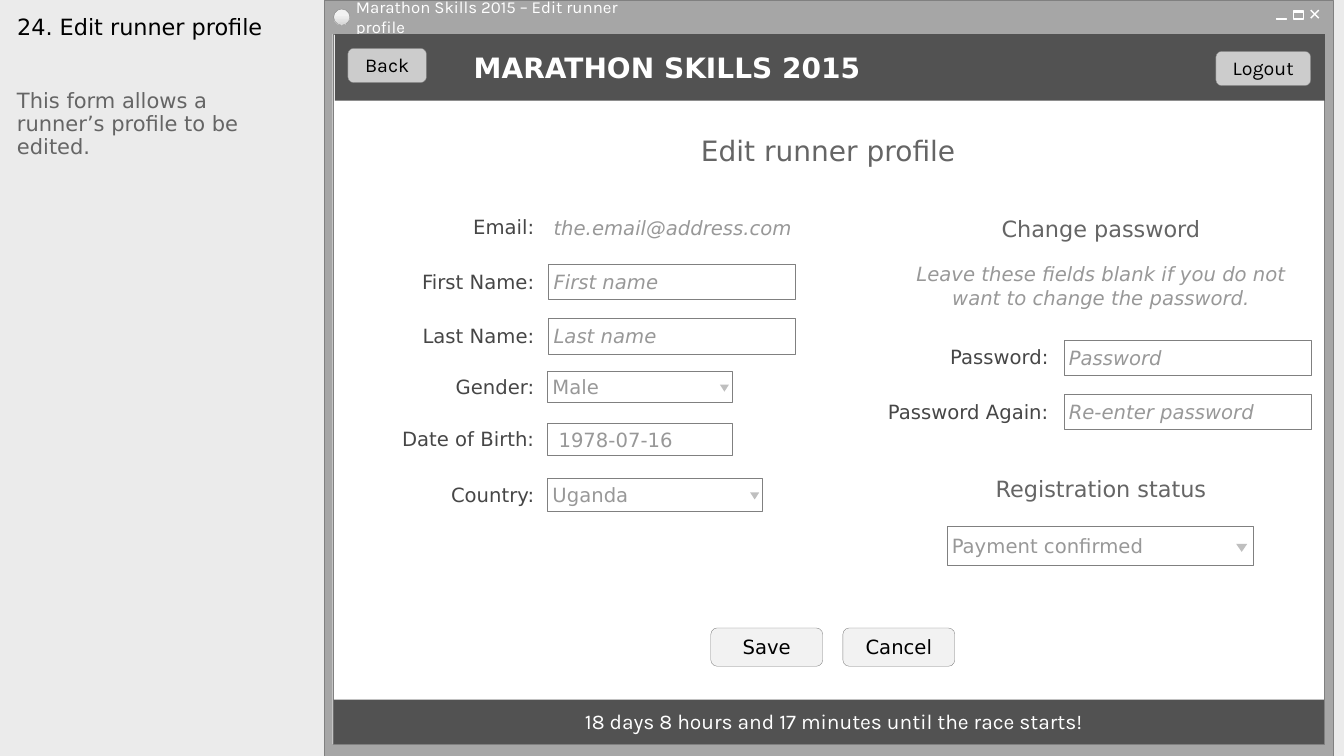
from copy import deepcopy
from pptx import Presentation
from pptx.dml.color import RGBColor
from pptx.enum.shapes import MSO_CONNECTOR, MSO_SHAPE
from pptx.enum.text import MSO_ANCHOR, MSO_AUTO_SIZE, PP_ALIGN
from pptx.oxml.ns import qn
from pptx.util import Inches, Pt

RECT, ROUND = MSO_SHAPE.RECTANGLE, MSO_SHAPE.ROUNDED_RECTANGLE
OVAL, TRIANGLE = MSO_SHAPE.OVAL, MSO_SHAPE.ISOSCELES_TRIANGLE
LINE = MSO_CONNECTOR.STRAIGHT
LEFT, MID, RIGHT = PP_ALIGN.LEFT, PP_ALIGN.CENTER, PP_ALIGN.RIGHT
TOP, CENTER = MSO_ANCHOR.TOP, MSO_ANCHOR.MIDDLE
FIXED = MSO_AUTO_SIZE.NONE
SANS, KARLA = "DejaVu Sans", "Karla"
COLORS = {
    "page": "EBEBEB", "frame": "A6A6A6", "edge": "808080", "bar": "525252",
    "white": "FFFFFF", "black": "000000", "key": "CCCCCC", "pale": "F2F2F2",
    "shade": "D9D9D9", "dash": "919191", "arrow": "BFBFBF",
    "head": "656565", "label": "464646", "hint": "989898",
}
PAD = (0.1, 0.02, 0.1, 0.03)
KEY_PAD = (0.1, 0, 0.1, 0.01)
FIELD_PAD = (0.05, 0.02, 0.05, 0.02)


def tint(name):
    return RGBColor.from_string(COLORS[name])


def place(item, box):
    item.left, item.top, item.width, item.height = map(Inches, box)


def write(item, text, size, color, font=SANS, align=LEFT, anchor=CENTER,
          pad=PAD, bold=False, italic=False, space=None):
    frame = item.text_frame
    frame.word_wrap, frame.auto_size = True, FIXED
    frame.vertical_anchor = anchor
    (frame.margin_left, frame.margin_top,
     frame.margin_right, frame.margin_bottom) = map(Inches, pad)
    para = frame.paragraphs[0]
    para.alignment, para.line_spacing = align, space
    run = para.add_run()
    run.text = text
    run.font.name, run.font.size = font, Pt(size)
    run.font.bold, run.font.italic = bold, italic
    run.font.color.rgb = tint(color)


def label(shapes, box, *args, **style):
    write(shapes.add_textbox(*map(Inches, box)), *args, **style)


def block(shapes, kind, box, fill=None, line="edge", width=0.25):
    item = shapes.add_shape(kind, *map(Inches, box))
    item.shadow.inherit = False
    if fill:
        item.fill.solid()
        item.fill.fore_color.rgb = tint(fill)
    else:
        item.fill.background()
    if line:
        item.line.color.rgb = tint(line)
        item.line.width = Pt(width)
    else:
        item.line.fill.background()
    return item


def stroke(shapes, *ends):
    item = shapes.add_connector(LINE, *map(Inches, ends))
    item.line.color.rgb = tint("white")
    item.line.width = Pt(1)
    props = item._element.spPr
    props.append(props.makeelement(qn("a:effectLst"), {}))


def orb(shapes, box):
    item = block(shapes, OVAL, box, "pale")
    item.fill.gradient()
    item.fill.gradient_angle = 270
    stops = item._element.spPr.find(".//" + qn("a:gsLst"))
    stops.append(deepcopy(stops[-1]))
    looks = ((0.36, "pale"), (0.91, "shade"), (1, "pale"))
    for stop, (spot, color) in zip(item.fill.gradient_stops, looks):
        stop.position = spot
        stop.color.rgb = tint(color)


def button(shapes, box, text, fill, font=SANS):
    item = block(shapes, ROUND, box, fill)
    write(item, text, 14, "black", font, MID, pad=KEY_PAD)


def field(shapes, box, text, line="edge", pad=FIELD_PAD, italic=True):
    item = block(shapes, RECT, box, "white", line)
    write(item, text, 14, "hint", pad=pad, italic=italic)


def combo(shapes, box, text, wide=0.09, high=0.07, gap=0.03):
    """Drop-down list with its arrow near the right end."""
    x, y, w, h = box
    part = shapes.add_group_shape().shapes
    field(part, box, text, pad=(0.05,) * 4, italic=False)
    spot = (x + w - wide - gap, y + h / 2 - 0.02, wide, high)
    block(part, TRIANGLE, spot, "arrow", None).rotation = 180


def caption(shapes, right, y, text):
    label(shapes, (right - 2, y, 2, 0.24), text, 14, "label",
          align=RIGHT, pad=(0,) * 4)


def window(shapes, box):
    x, y, w, h = box
    part = shapes.add_group_shape().shapes
    block(part, RECT, box, "frame")
    block(part, RECT, (x + 0.08, y + 0.34, 9.83, 7.04), "white")
    label(part, (x + 0.26, y + 0.05, 3.21, 0.25),
          "Marathon Skills 2015 – Edit runner profile", 12, "white", KARLA,
          pad=(0.05, 0.02, 0.1, 0.03))
    # Close, restore and minimise signs
    near, far = x + 9.78, x + 9.86
    stroke(part, near, y + 0.1, far, y + 0.18)
    stroke(part, far, y + 0.1, near, y + 0.18)
    for left, top in ((9.61, 0.11), (9.44, 0.18)):
        block(part, RECT, (x + left, y + top, 0.1, 0.01), "dash", "white")
    block(part, RECT, (x + 9.61, y + 0.11, 0.1, 0.08), None, "white", 1)
    orb(part, (x + 0.09, y + 0.09, 0.16, 0.16))


def header(shapes, box):
    x, y, w, h = box
    block(shapes, RECT, box, "bar", None)
    button(shapes, (x + 0.13, y + 0.14, 0.78, 0.34), "Back", "key", KARLA)
    label(shapes, (x + 1.28, y + 0.14, 4.26, 0.39),
          "MARATHON SKILLS 2015", 20, "white", bold=True)
    button(shapes, (x + w - 1.08, y + 0.17, 0.94, 0.34),
           "Logout", "key", KARLA)


def footer(shapes, box):
    x, y, w, h = box
    block(shapes, RECT, box, "bar", None)
    label(shapes, (x + 1.02, y + 0.07, 7.88, 0.3),
          "18 days 8 hours and 17 minutes until the race starts!",
          15, "white", KARLA, MID)


def sidebar(slide, box):
    x, y, w, h = box
    title = slide.shapes.title
    place(title, (x, y, w, 0.73))
    pad = (0.1, 0.05, 0.1, 0.05)
    write(title, "24. Edit runner profile", 16, "black",
          anchor=TOP, pad=pad, space=0.9)
    label(slide.shapes, (x, y + 0.74, w, h - 0.74),
          "This form allows a runner’s profile to be edited.", 15, "head",
          anchor=TOP, pad=pad, space=0.9)


def profile(shapes, box):
    x, y, w, h = box
    edge = x + 2.14
    rows = (("Email:", 0.05), ("First Name:", 0.59), ("Last Name:", 1.13),
            ("Gender:", 1.64), ("Date of Birth:", 2.15), ("Country:", 2.71))
    for text, drop in rows:
        caption(shapes, x + 2, y + drop, text)
    field(shapes, (edge, y, 2.92, 0.35), "the.email@address.com", None)
    for i, text in enumerate(("First name", "Last name"), 1):
        field(shapes, (edge, y + 0.54 * i, 2.45, 0.35), text)
    combo(shapes, (edge - 0.01, y + 1.6, 1.83, 0.31), "Male")
    field(shapes, (edge - 0.01, y + 2.12, 1.83, 0.32), "1978-07-16",
          pad=(0.11, 0, 0, 0), italic=False)
    combo(shapes, (edge - 0.01, y + 2.66, 2.13, 0.33), "Uganda")


def account(shapes, box):
    x, y, w, h = box
    for text, drop in (("Change password", 0), ("Registration status", 2.58)):
        label(shapes, (x, y + drop, w, 0.32), text, 16, "head", align=MID)
    label(shapes, (x, y + 0.47, w, 0.52),
          "Leave these fields blank if you do not want to change the password.",
          14, "hint", align=MID, anchor=TOP, italic=True)
    rows = (("Password:", "Password"), ("Password Again:", "Re-enter password"))
    for i, (name, hint) in enumerate(rows):
        top = y + 1.26 + 0.54 * i
        caption(shapes, x + 1.55, top + 0.05, name)
        field(shapes, (x + 1.7, top, 2.45, 0.35), hint)
    combo(shapes, (x + 0.54, y + 3.11, 3.04, 0.39), "Payment confirmed",
          0.11, 0.08, 0.06)


def main():
    deck = Presentation()
    deck.slide_width, deck.slide_height = Inches(13.33), Inches(7.5)
    slide = deck.slides.add_slide(deck.slide_layouts[5])
    slide.background.fill.solid()
    slide.background.fill.fore_color.rgb = tint("page")
    shapes = slide.shapes
    # Window frame and bars
    window(shapes, (3.22, 0, 10, 7.5))
    header(shapes, (3.32, 0.34, 9.82, 0.66))
    footer(shapes, (3.31, 6.94, 9.82, 0.44))
    # Description and form
    sidebar(slide, (0.07, 0.11, 3.01, 7.21))
    label(shapes, (4.55, 1.3, 7.33, 0.39), "Edit runner profile",
          20, "head", align=MID)
    profile(shapes, (3.3, 2.08, 5.06, 2.99))
    account(shapes, (8.85, 2.11, 4.14, 3.5))
    for i, text in enumerate(("Save", "Cancel")):
        button(shapes, (7.05 + 1.31 * i, 6.23, 1.11, 0.38), text, "pale")
    deck.save("out.pptx")


if __name__ == "__main__":
    main()
